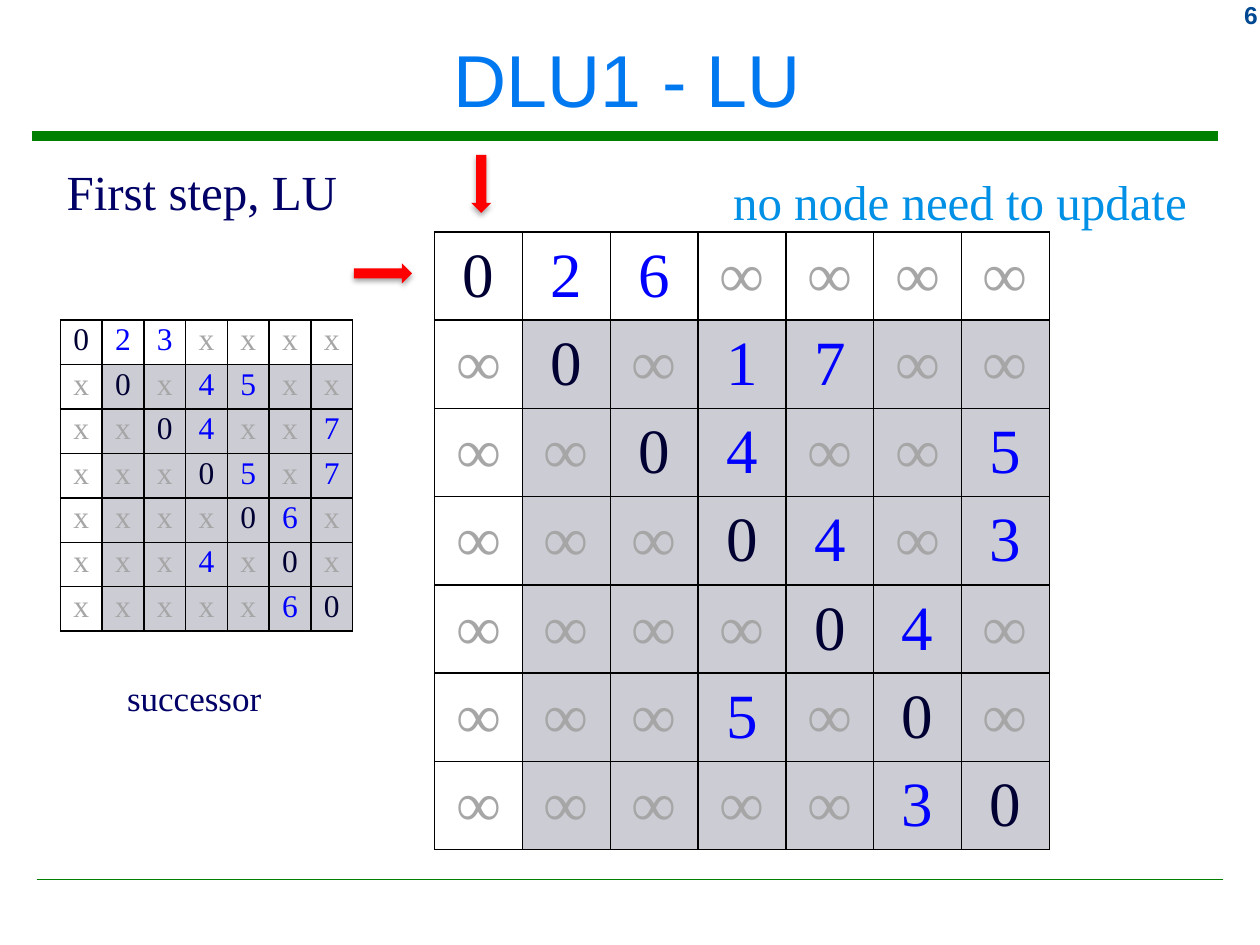
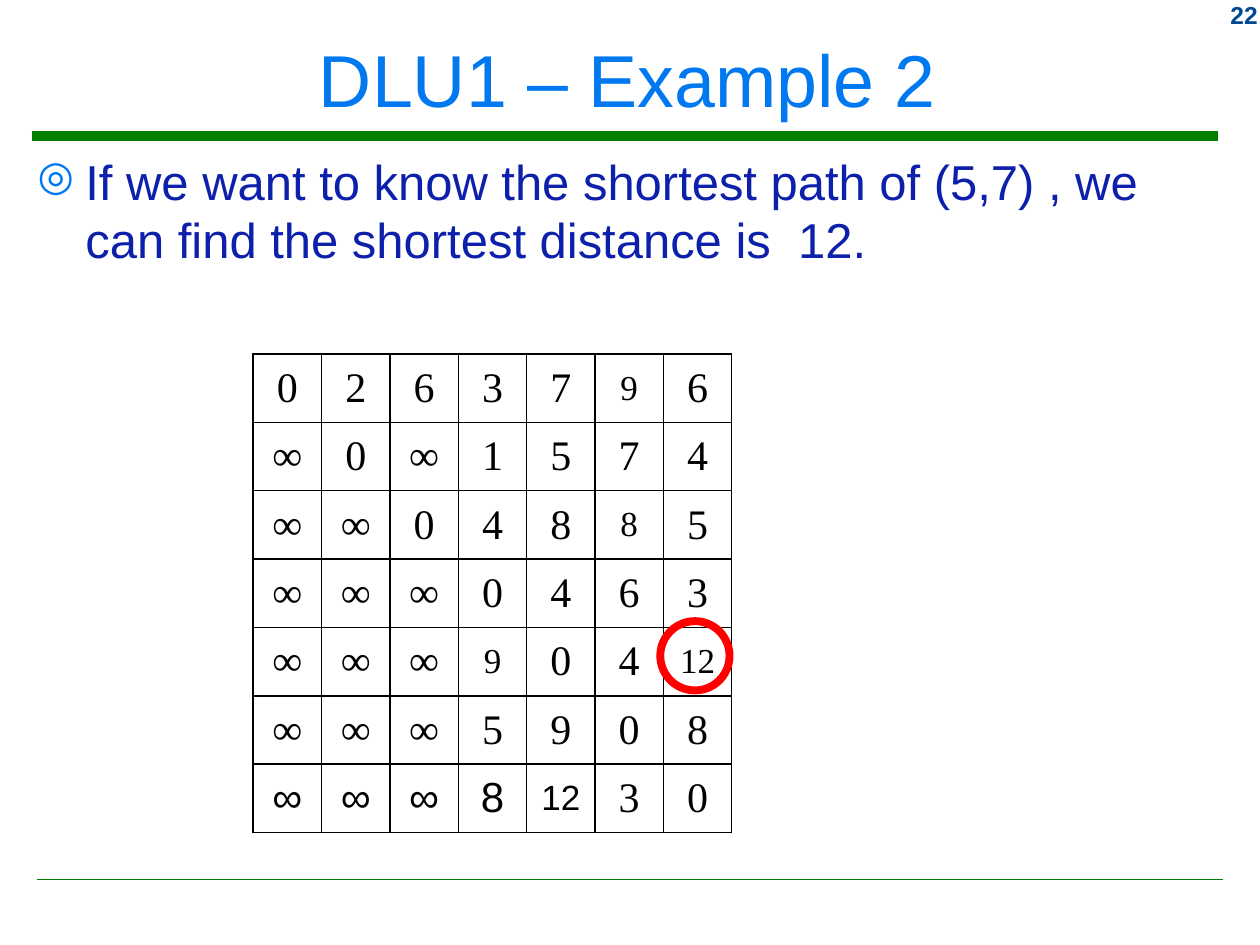
from lxml import etree
from pptx import Presentation
from pptx.dml.color import RGBColor
from pptx.enum import shapes, text
from pptx.oxml import parse_xml
from pptx.oxml import ns
from pptx.util import Inches, Pt

GREEN = RGBColor(0x00, 0x80, 0x00)
TITLE_BLUE = RGBColor(0x00, 0x78, 0xF0)
NUMBER_BLUE = RGBColor(0x00, 0x49, 0x92)
BODY_BLUE = RGBColor(0x0D, 0x20, 0xAB)
NAVY = RGBColor(0x00, 0x00, 0x66)
SKY = RGBColor(0x00, 0x90, 0xE6)
DIAGONAL = RGBColor(0x00, 0x00, 0x33)
EDGE = RGBColor(0x00, 0x00, 0xFF)
NO_EDGE = RGBColor(0xA6, 0xA6, 0xA6)
SHADE = RGBColor(0xCC, 0xCC, 0xD4)
RED = RGBColor(0xFF, 0x00, 0x00)
BLACK = RGBColor(0x00, 0x00, 0x00)
SANS = "Arial"
SERIF = "Times New Roman"
LEFT, CENTER, RIGHT = text.PP_ALIGN.LEFT, text.PP_ALIGN.CENTER, text.PP_ALIGN.RIGHT
MIDDLE, TOP = text.MSO_ANCHOR.MIDDLE, text.MSO_ANCHOR.TOP

SHADOW = (
    f'<a:effectLst {ns.nsdecls("a")}>'
    '<a:outerShdw blurRad="39370" dist="22860" dir="5400000" rotWithShape="0">'
    '<a:srgbClr val="000000"><a:alpha val="35000"/></a:srgbClr>'
    '</a:outerShdw></a:effectLst>'
)


def add_text(slide, box, words, font, size, color, align=LEFT, wrap=True, anchor=TOP, bold=False):
    frame = slide.shapes.add_textbox(*map(Inches, box)).text_frame
    frame.word_wrap = wrap
    frame.vertical_anchor = anchor
    paragraph = frame.paragraphs[0]
    paragraph.alignment = align
    run = paragraph.add_run()
    run.text = words
    run.font.name, run.font.size, run.font.bold = font, Pt(size), bold
    run.font.color.rgb = color
    return paragraph


def add_matrix(slide, box, rows, style, anchor=MIDDLE, margins=(0.1, 0.05)):
    left, top, width, height = map(Inches, box)
    count = len(rows)
    table = slide.shapes.add_table(count, count, left, top, width, height).table
    table.first_row = table.horz_banding = False
    for i, row in enumerate(rows):
        table.rows[i].height = height // count
        table.columns[i].width = width // count
        for j, value in enumerate(row.split()):
            font, size, color, fill = style(i, j, value)
            cell = table.cell(i, j)
            cell.vertical_anchor = anchor
            cell.margin_left = cell.margin_right = Inches(margins[0])
            cell.margin_top = cell.margin_bottom = Inches(margins[1])
            if fill is None:
                cell.fill.background()
            else:
                cell.fill.solid()
                cell.fill.fore_color.rgb = fill
            properties = cell._tc.get_or_add_tcPr()
            for k, side in enumerate(("lnL", "lnR", "lnT", "lnB")):
                border = etree.Element(ns.qn(f"a:{side}"), w=str(Pt(1)))
                solid = etree.SubElement(border, ns.qn("a:solidFill"))
                etree.SubElement(solid, ns.qn("a:srgbClr"), val=str(BLACK))
                properties.insert(k, border)
            paragraph = cell.text_frame.paragraphs[0]
            paragraph.alignment = CENTER
            run = paragraph.add_run()
            run.text = value
            run.font.name, run.font.size = font, Pt(size)
            run.font.color.rgb = color


prs = Presentation()
prs.slide_width, prs.slide_height = Inches(10), Inches(7.5)

slides = []
for title, number in (("DLU1 - LU", "6"), ("DLU1 – Example 2", "22")):
    slide = prs.slides.add_slide(prs.slide_layouts[6])
    for start, end, y, weight in ((0.25, 9.67, 1.08, 5.25), (0.29, 9.71, 6.98, 1)):
        rule = slide.shapes.add_connector(
            shapes.MSO_CONNECTOR.STRAIGHT, Inches(start), Inches(y), Inches(end), Inches(y))
        rule.line.color.rgb = GREEN
        rule.line.width = Pt(weight)
        etree.SubElement(rule._element.spPr, ns.qn("a:effectLst"))
    add_text(slide, (9.17, -0.05, 0.91, 0.33), number, SANS, 14, NUMBER_BLUE, RIGHT, bold=True)
    add_text(slide, (0.08, 0.09, 9.8, 1.06), title, SANS, 42, TITLE_BLUE, CENTER, anchor=MIDDLE)
    slides.append(slide)
first_step, example = slides

for kind, box in (
    (shapes.MSO_SHAPE.DOWN_ARROW, (3.74, 1.23, 0.16, 0.46)),
    (shapes.MSO_SHAPE.RIGHT_ARROW, (2.81, 2.09, 0.46, 0.16)),
):
    pointer = first_step.shapes.add_shape(kind, *map(Inches, box))
    pointer.fill.solid()
    pointer.fill.fore_color.rgb = RED
    pointer.line.fill.background()
    pointer._element.spPr.append(parse_xml(SHADOW))

for box, words, size, color in (
    ((0.43, 1.23, 2.38, 0.57), "First step, LU", 28, NAVY),
    ((0.91, 5.32, 1.28, 0.44), "successor", 20, NAVY),
    ((5.72, 1.31, 3.84, 0.57), "no node need to update", 28, SKY),
):
    add_text(first_step, box, words, SERIF, size, color, wrap=False)

distances = [
    "0 2 6 ∞ ∞ ∞ ∞",
    "∞ 0 ∞ 1 7 ∞ ∞",
    "∞ ∞ 0 4 ∞ ∞ 5",
    "∞ ∞ ∞ 0 4 ∞ 3",
    "∞ ∞ ∞ ∞ 0 4 ∞",
    "∞ ∞ ∞ 5 ∞ 0 ∞",
    "∞ ∞ ∞ ∞ ∞ 3 0",
]
successors = [
    "0 2 3 x x x x",
    "x 0 x 4 5 x x",
    "x x 0 4 x x 7",
    "x x x 0 5 x 7",
    "x x x x 0 6 x",
    "x x x 4 x 0 x",
    "x x x x x 6 0",
]
shortest = [
    "0 2 6 3 7 9 6",
    "∞ 0 ∞ 1 5 7 4",
    "∞ ∞ 0 4 8 8 5",
    "∞ ∞ ∞ 0 4 6 3",
    "∞ ∞ ∞ 9 0 4 12",
    "∞ ∞ ∞ 5 9 0 8",
    "∞ ∞ ∞ 8 12 3 0",
]
value_colors = {"0": DIAGONAL, "∞": NO_EDGE, "x": NO_EDGE}
small_cells = {(0, 5), (2, 5), (4, 3), (4, 6), (6, 4)}

for box, rows, size, anchor, margins in (
    ((3.45, 1.84, 4.88, 4.9), distances, 36, MIDDLE, (0.1, 0.05)),
    ((0.48, 2.54, 2.32, 2.47), successors, 18, TOP, (0.05, 0.02)),
):
    add_matrix(
        first_step, box, rows,
        lambda i, j, value: (SERIF, size, value_colors.get(value, EDGE), SHADE if i and j else None),
        anchor, margins)

claim = add_text(
    example, (0.2, 1.15, 9.6, 5.75),
    "If we want to know the shortest path of (5,7) , we can find the shortest distance is  12.",
    SANS, 28, BODY_BLUE)
bullet = claim._p.get_or_add_pPr()
bullet.set("marL", str(Inches(0.38)))
bullet.set("indent", str(Inches(-0.38)))
bullet_color = etree.SubElement(bullet, ns.qn("a:buClr"))
etree.SubElement(bullet_color, ns.qn("a:srgbClr"), val=str(TITLE_BLUE))
etree.SubElement(bullet, ns.qn("a:buSzPct"), val="85000")
etree.SubElement(bullet, ns.qn("a:buChar"), char="◎")

add_matrix(
    example, (2.01, 2.81, 3.8, 3.8), shortest,
    lambda i, j, value: (
        SANS if i == 6 and j < 5 else SERIF, 20 if (i, j) in small_cells else 24, BLACK, None))

answer_ring = example.shapes.add_shape(
    shapes.MSO_SHAPE.OVAL, Inches(5.24), Inches(4.93), Inches(0.55), Inches(0.55))
answer_ring.shadow.inherit = False
answer_ring.fill.background()
answer_ring.line.color.rgb = RED
answer_ring.line.width = Pt(4.5)

prs.save("out.pptx")
